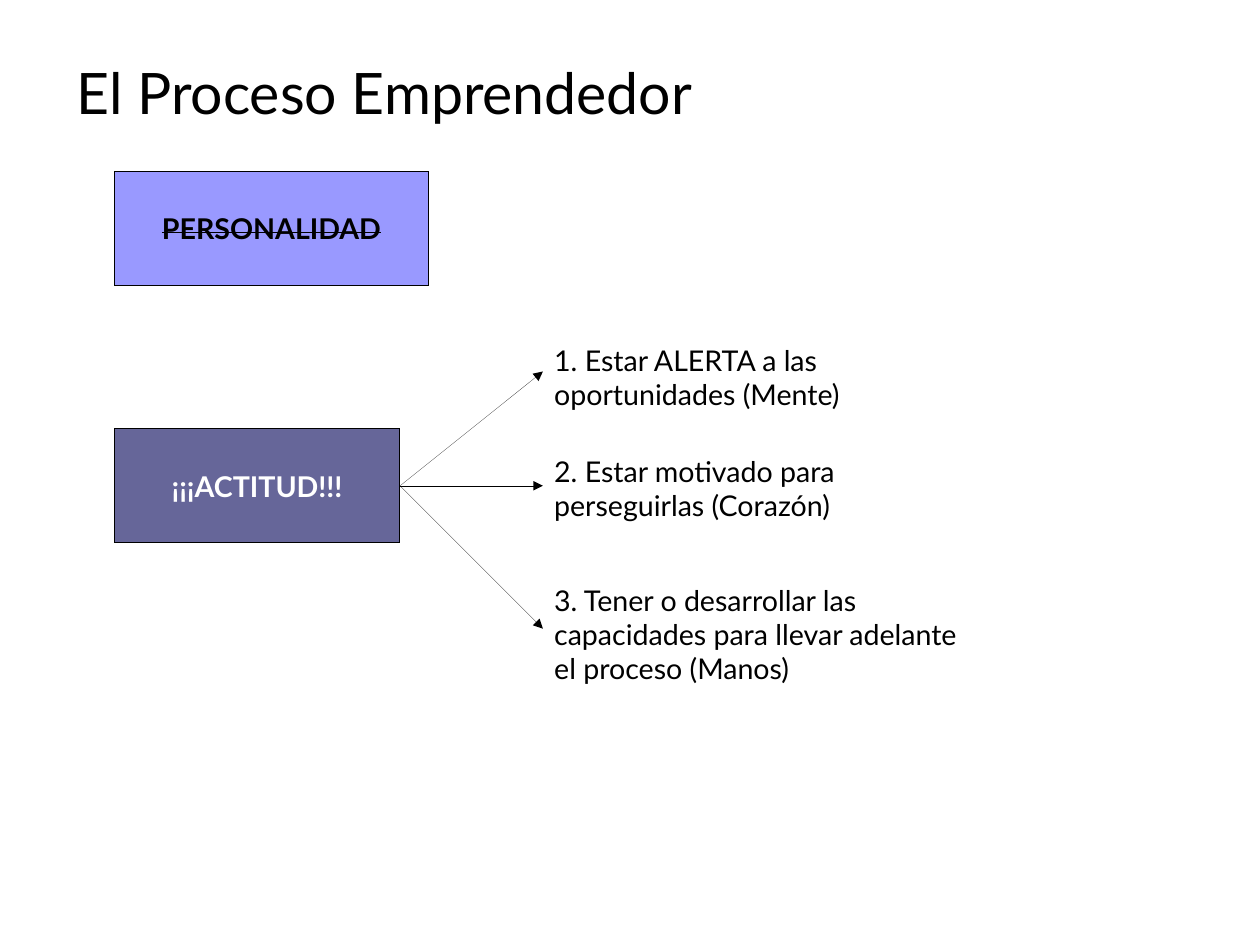
from pptx import Presentation
from pptx.dml.color import RGBColor
from pptx.enum.shapes import MSO_CONNECTOR as Connector, MSO_SHAPE as Shape
from pptx.enum.text import MSO_ANCHOR as Anchor, PP_ALIGN as Align
from pptx.oxml.ns import qn
from pptx.util import Inches, Pt
from lxml.etree import SubElement

FONT = "Lato"
BLACK = RGBColor(0x00, 0x00, 0x00)
WHITE = RGBColor(0xFF, 0xFF, 0xFF)
LILAC = RGBColor(0x99, 0x99, 0xFF)
SLATE = RGBColor(0x66, 0x66, 0x99)

# Each step: text, top and height of its box, height its arrow points at
STEPS = [
    ("1. Estar ALERTA a las oportunidades (Mente)", 2.95, 0.68, 3.25),
    ("2. Estar motivado para perseguirlas (Corazón)", 3.92, 0.68, 4.25),
    ("3. Tener o desarrollar las capacidades para llevar adelante "
     "el proceso (Manos)", 5.05, 0.97, 5.5),
]
STEP_LEFT = 4.75
BOX_LEFT = 1
BOX_HEIGHT = 1
ATTITUDE_TOP = 3.75
ATTITUDE_WIDTH = 2.5
CM_PER_INCH = 2.54


def write(frame, text, size=18, color=BLACK, bold=False, align=Align.LEFT):
    frame.word_wrap = True
    para = frame.paragraphs[0]
    para.alignment = align
    span = para.add_run()
    span.text = text
    span.font.name = FONT
    span.font.size = Pt(size)
    span.font.bold = bold
    span.font.color.rgb = color
    return span


def draw_hairline(line):
    line.color.rgb = BLACK
    outline = line._get_or_add_ln()
    outline.set("w", "0")  # an explicit zero overrides the theme width
    return outline


def add_title(page, text):
    title = page.shapes.title
    title.left, title.top = Inches(0.55), Inches(0.16)
    title.width, title.height = Inches(9.92), Inches(1.28)
    frame = title.text_frame
    frame.margin_left = Inches(0.12)
    frame.margin_right = frame.margin_top = frame.margin_bottom = 0
    frame.vertical_anchor = Anchor.MIDDLE
    write(frame, text, size=36)


def add_box(page, text, top, width, fill, color):
    box = page.shapes.add_shape(Shape.RECTANGLE, Inches(BOX_LEFT), Inches(top),
                                Inches(width), Inches(BOX_HEIGHT))
    box.shadow.inherit = False
    box.fill.solid()
    box.fill.fore_color.rgb = fill
    draw_hairline(box.line)
    box.text_frame.vertical_anchor = Anchor.MIDDLE
    return write(box.text_frame, text, color=color, bold=True, align=Align.CENTER)


def add_step(page, text, top, height):
    box = page.shapes.add_textbox(Inches(STEP_LEFT), Inches(top),
                                  Inches(3.75), Inches(height))
    write(box.text_frame, text)


def add_arrow(page, start, end):
    arrow = page.shapes.add_connector(Connector.STRAIGHT,
                                      *map(Inches, start), *map(Inches, end))
    outline = draw_hairline(arrow.line)
    SubElement(outline, qn("a:tailEnd"), type="triangle")
    SubElement(arrow._element.spPr, qn("a:effectLst"))


def main():
    # The page measures 28 by 21 cm
    deck = Presentation()
    deck.slide_width = Inches(28 / CM_PER_INCH)
    deck.slide_height = Inches(21 / CM_PER_INCH)
    page = deck.slides.add_slide(deck.slide_layouts[5])
    add_title(page, "El Proceso Emprendedor")

    # Personality is struck out in favour of attitude
    add_box(page, "¡¡¡ACTITUD!!!", ATTITUDE_TOP, ATTITUDE_WIDTH, SLATE, WHITE)
    span = add_box(page, "PERSONALIDAD", 1.5, 2.75, LILAC, BLACK)
    span.font._element.set("strike", "sngStrike")

    # Steps fan out from the attitude box
    origin = (BOX_LEFT + ATTITUDE_WIDTH, ATTITUDE_TOP + BOX_HEIGHT / 2)
    for text, top, height, target in STEPS:
        add_step(page, text, top, height)
        add_arrow(page, origin, (STEP_LEFT, target))

    deck.save("out.pptx")


if __name__ == "__main__":
    main()
